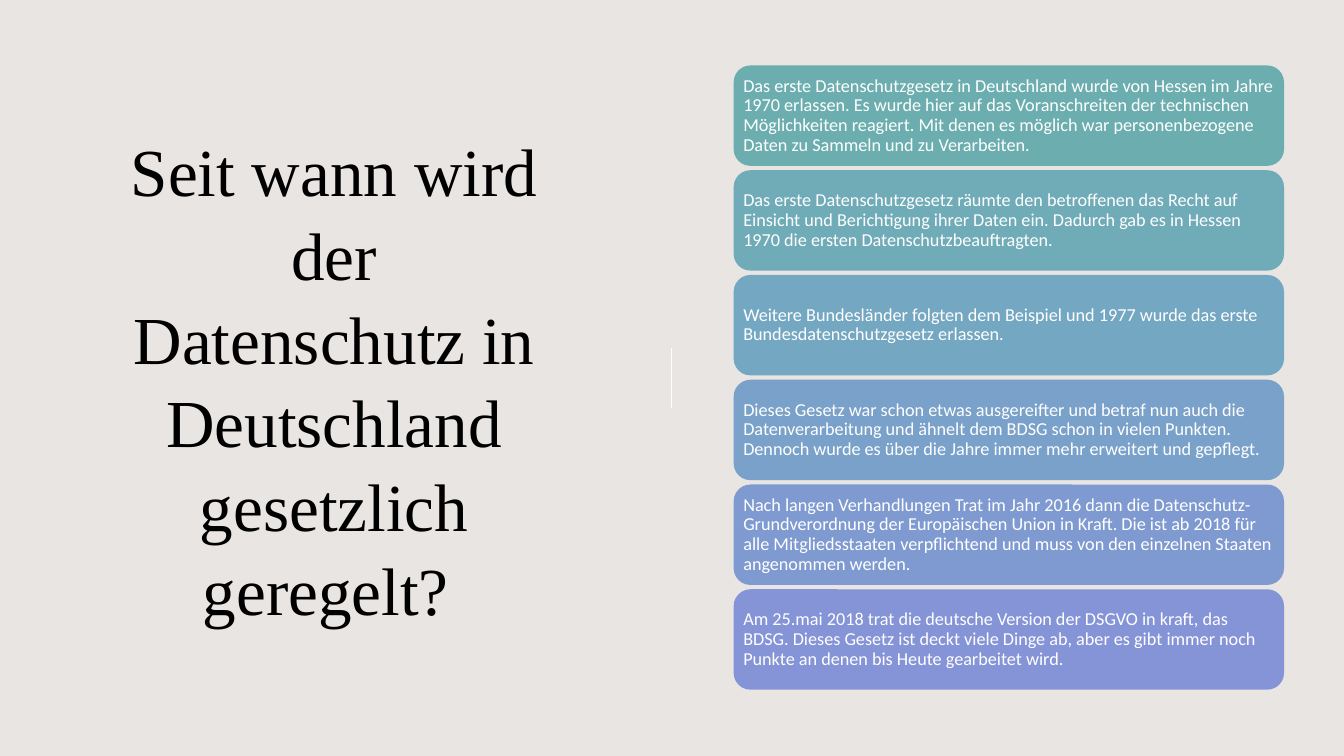
from lxml import etree
from pptx import Presentation
from pptx import util as u
from pptx.dml.color import RGBColor
from pptx.enum import shapes, text
from pptx.oxml import ns

TITLE = "Seit wann wird der Datenschutz in Deutschland gesetzlich geregelt? "
STEPS = [
    ("6CAEAF", "Das erste Datenschutzgesetz in Deutschland wurde von Hessen im Jahre "
     "1970 erlassen. Es wurde hier auf das Voranschreiten der technischen "
     "Möglichkeiten reagiert. Mit denen es möglich war personenbezogene "
     "Daten zu Sammeln und zu Verarbeiten."),
    ("70ABB8", "Das erste Datenschutzgesetz räumte den betroffenen das Recht auf "
     "Einsicht und Berichtigung ihrer Daten ein. Dadurch gab es in Hessen "
     "1970 die ersten Datenschutzbeauftragten. "),
    ("74A7C1", "Weitere Bundesländer folgten dem Beispiel und 1977 wurde das erste "
     "Bundesdatenschutzgesetz erlassen. "),
    ("79A1C9", "Dieses Gesetz war schon etwas ausgereifter und betraf nun auch die "
     "Datenverarbeitung und ähnelt dem BDSG schon in vielen Punkten. "
     "Dennoch wurde es über die Jahre immer mehr erweitert und gepflegt."),
    ("7F9AD0", "Nach langen Verhandlungen Trat im Jahr 2016 dann die Datenschutz-"
     "Grundverordnung der Europäischen Union in Kraft. Die ist ab 2018 für "
     "alle Mitgliedsstaaten verpflichtend und muss von den einzelnen Staaten "
     "angenommen werden."),
    ("8593D7", "Am 25.mai 2018 trat die deutsche Version der DSGVO in kraft, das "
     "BDSG. Dieses Gesetz ist deckt viele Dinge ab, aber es gibt immer noch "
     "Punkte an denen bis Heute gearbeitet wird."),
]
COLORS = {"back": "E8E5E2", "title": "000000", "white": "FFFFFF"}
LEFT, TOP, WIDTH, HEIGHT, PITCH = 18.49, 1.65, 13.87, 2.53, 2.64


def rgb(code):
    """Turn a hex string into a colour."""
    return RGBColor.from_string(code)


def write(shape, words, font, size, color, align, space, inset):
    """Put one formatted, vertically centred paragraph into a shape."""
    frame = shape.text_frame
    frame.text = words
    frame.word_wrap = True
    frame.vertical_anchor = text.MSO_ANCHOR.MIDDLE
    frame.margin_left = frame.margin_right = u.Cm(inset)
    frame.margin_top = frame.margin_bottom = u.Cm(0.12)
    para = frame.paragraphs[0]
    para.alignment = align
    para.line_spacing = space
    face = para.runs[0].font
    face.name, face.size = font, u.Pt(size)
    face.color.rgb = rgb(color)


def add_title(slide):
    """Add the question on the left."""
    box = slide.shapes.add_textbox(u.Cm(3), u.Cm(3), u.Cm(10.85), u.Cm(13.03))
    write(box, TITLE, "Times New Roman", 48, COLORS["title"],
          text.PP_ALIGN.CENTER, 1.04, 0.25)


def add_rule(slide):
    """Add the short line between question and steps."""
    rule = slide.shapes.add_connector(
        shapes.MSO_CONNECTOR.STRAIGHT,
        u.Cm(16.93), u.Cm(8.76), u.Cm(16.93), u.Cm(10.29))
    rule.line.color.rgb = rgb(COLORS["white"])
    rule.line.width = u.Pt(1)
    etree.SubElement(rule._element.spPr, ns.qn("a:effectLst"))


def add_steps(slide):
    """Stack the steps as a group of rounded cards."""
    group = slide.shapes.add_group_shape()
    for row, (color, words) in enumerate(STEPS):
        card = group.shapes.add_shape(
            shapes.MSO_SHAPE.ROUNDED_RECTANGLE, u.Cm(LEFT),
            u.Cm(TOP + row * PITCH), u.Cm(WIDTH), u.Cm(HEIGHT))
        card.shadow.inherit = False
        card.fill.solid()
        card.fill.fore_color.rgb = rgb(color)
        card.line.fill.background()
        write(card, words, "Calibri", 13, COLORS["white"],
              text.PP_ALIGN.LEFT, 0.9, 0.12)


def main():
    """Build and save the slide."""
    deck = Presentation()
    deck.slide_width, deck.slide_height = u.Cm(33.87), u.Cm(19.05)
    slide = deck.slides.add_slide(deck.slide_layouts[6])
    slide.background.fill.solid()
    slide.background.fill.fore_color.rgb = rgb(COLORS["back"])
    add_title(slide)
    add_rule(slide)
    add_steps(slide)
    deck.save("out.pptx")


main()
